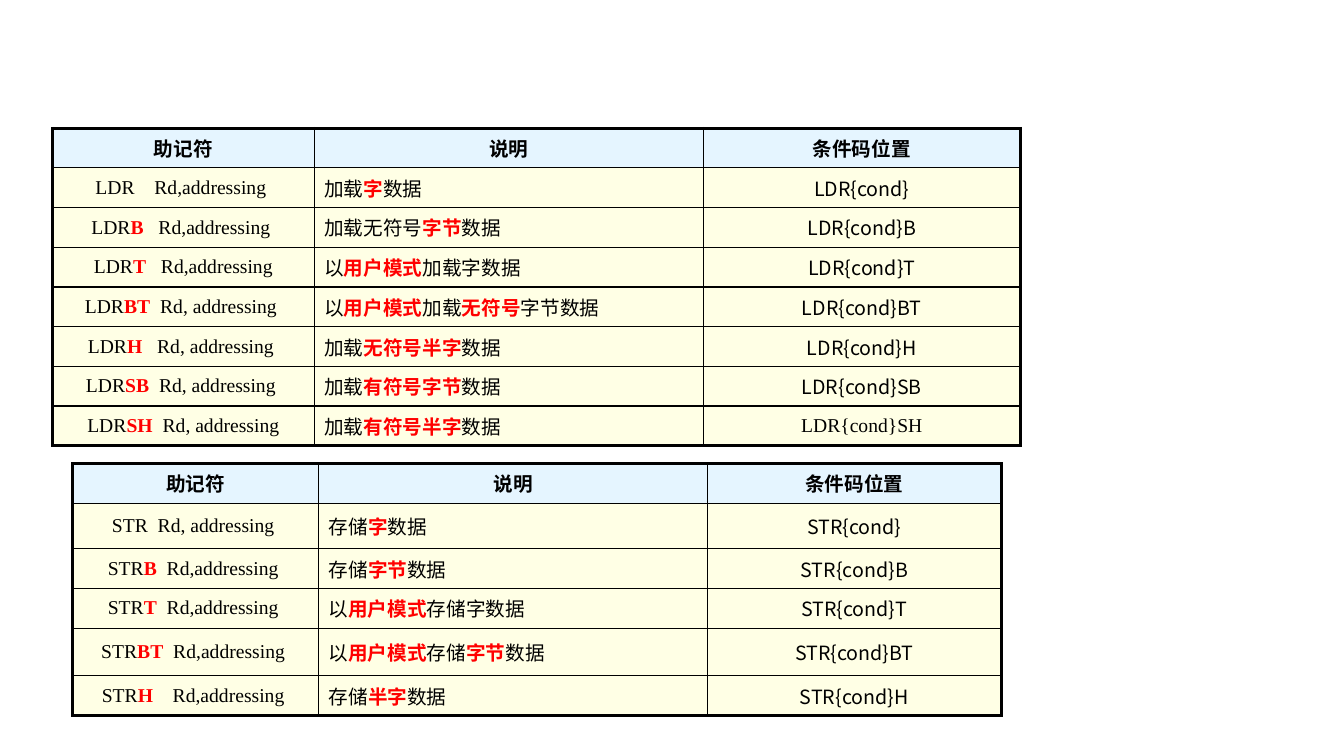
from lxml.etree import SubElement
from pptx import Presentation
from pptx.dml.color import RGBColor
from pptx.enum.text import MSO_ANCHOR, PP_ALIGN
from pptx.oxml.ns import qn
from pptx.util import Cm, Pt

SERIF = "Times New Roman"
SANS = "Noto Sans CJK SC"
BLACK, RED = "000000", "FF0000"
HEADER_FILL, BODY_FILL = "CCECFF", "FFFFCC"
SPACE_WIDTH = 350
HEADINGS = ["助记符", "说明", "条件码位置"]

LOADS = [
    ("", 4, "Rd,addressing ", "加载*字*数据"),
    ("B", 3, "Rd,addressing ", "加载无符号*字节*数据"),
    ("T", 3, "Rd,addressing", "以*用户模式*加载字数据"),
    ("BT", 2, "Rd, addressing ", "以*用户模式*加载*无符号*字节数据"),
    ("H", 3, "Rd, addressing ", "加载*无符号半字*数据"),
    ("SB", 2, "Rd, addressing ", "加载*有符号字节*数据"),
    ("SH", 2, "Rd, addressing", "加载*有符号半字*数据"),
]
STORES = [
    ("", 2, "Rd, addressing ", "存储*字*数据"),
    ("B", 2, "Rd,addressing ", "存储*字节*数据"),
    ("T", 2, "Rd,addressing ", "以*用户模式*存储字数据"),
    ("BT", 2, "Rd,addressing ", "以*用户模式*存储*字节*数据"),
    ("H", 4, "Rd,addressing ", "存储*半字*数据"),
]


def rgb(value):
    return RGBColor.from_string(value)


def add_run(p, text, font=SERIF, color=BLACK, bold=False):
    r = p.add_run()
    r.text = text
    r.font.size = Pt(14)
    r.font.name = font
    r.font.bold = bold
    r.font.color.rgb = rgb(color)
    SubElement(r.font._element, qn("a:ea"), typeface=SANS)
    return r


def add_marked(p, text, font):
    for i, part in enumerate(text.split("*")):
        if part:
            red = i % 2 == 1
            add_run(p, part, font, RED if red else BLACK, red)


def add_mnemonic(p, name, suffix, gap, operand):
    add_marked(p, f"{name}*{suffix}*", SERIF)
    space = add_run(p, " ")
    space.font._element.set("spc", str((gap - 1) * SPACE_WIDTH))
    add_run(p, operand)


def style_cell(cell, fill, outer):
    cell.vertical_anchor = MSO_ANCHOR.MIDDLE
    tc_pr = cell._tc.get_or_add_tcPr()
    for side in "LRTB":
        width = Pt(2.25 if side in outer else 1)
        ln = SubElement(tc_pr, qn(f"a:ln{side}"), w=str(width))
        SubElement(SubElement(ln, qn("a:solidFill")), qn("a:srgbClr"), val=BLACK)
    cell.fill.solid()
    cell.fill.fore_color.rgb = rgb(fill)
    color = tc_pr.find(qn("a:solidFill")).find(qn("a:srgbClr"))
    SubElement(color, qn("a:alpha"), val="50000")


def add_instruction_table(s, left, top, widths, heights, name, instructions):
    table = s.shapes.add_table(
        len(heights), len(widths), Cm(left), Cm(top), Cm(sum(widths)), Cm(sum(heights))
    ).table
    table.first_row = table.horz_banding = False
    for column, width in zip(table.columns, widths):
        column.width = Cm(width)
    for row, height in zip(table.rows, heights):
        row.height = Cm(height)

    last_row, last_col = len(heights) - 1, len(widths) - 1
    for i in range(len(heights)):
        for j in range(len(widths)):
            edges = {"T": i == 0, "B": i == last_row, "L": j == 0, "R": j == last_col}
            outer = [side for side, on_edge in edges.items() if on_edge]
            cell = table.cell(i, j)
            style_cell(cell, BODY_FILL if i else HEADER_FILL, outer)
            p = cell.text_frame.paragraphs[0]
            p.alignment = PP_ALIGN.LEFT if i and j == 1 else PP_ALIGN.CENTER
            if i == 0:
                add_run(p, HEADINGS[j], bold=True)
                continue
            suffix, gap, operand, description = instructions[i - 1]
            if j == 0:
                add_mnemonic(p, name, suffix, gap, operand)
            elif j == 1:
                add_marked(p, description, SANS)
            else:
                font = SERIF if suffix == "SH" else SANS
                add_run(p, f"{name}{{cond}}{suffix}", font)


def main():
    prs = Presentation()
    prs.slide_width, prs.slide_height = Cm(33.87), Cm(19.05)
    s = prs.slides.add_slide(prs.slide_layouts[6])
    add_instruction_table(s, 1.32, 3.23, [6.6, 9.8, 8], [1] * 8, "LDR", LOADS)
    add_instruction_table(
        s, 1.83, 11.68, [6.2, 9.8, 7.4], [1, 1.15, 1, 1, 1.2, 1], "STR", STORES
    )
    prs.save("out.pptx")


if __name__ == "__main__":
    main()
